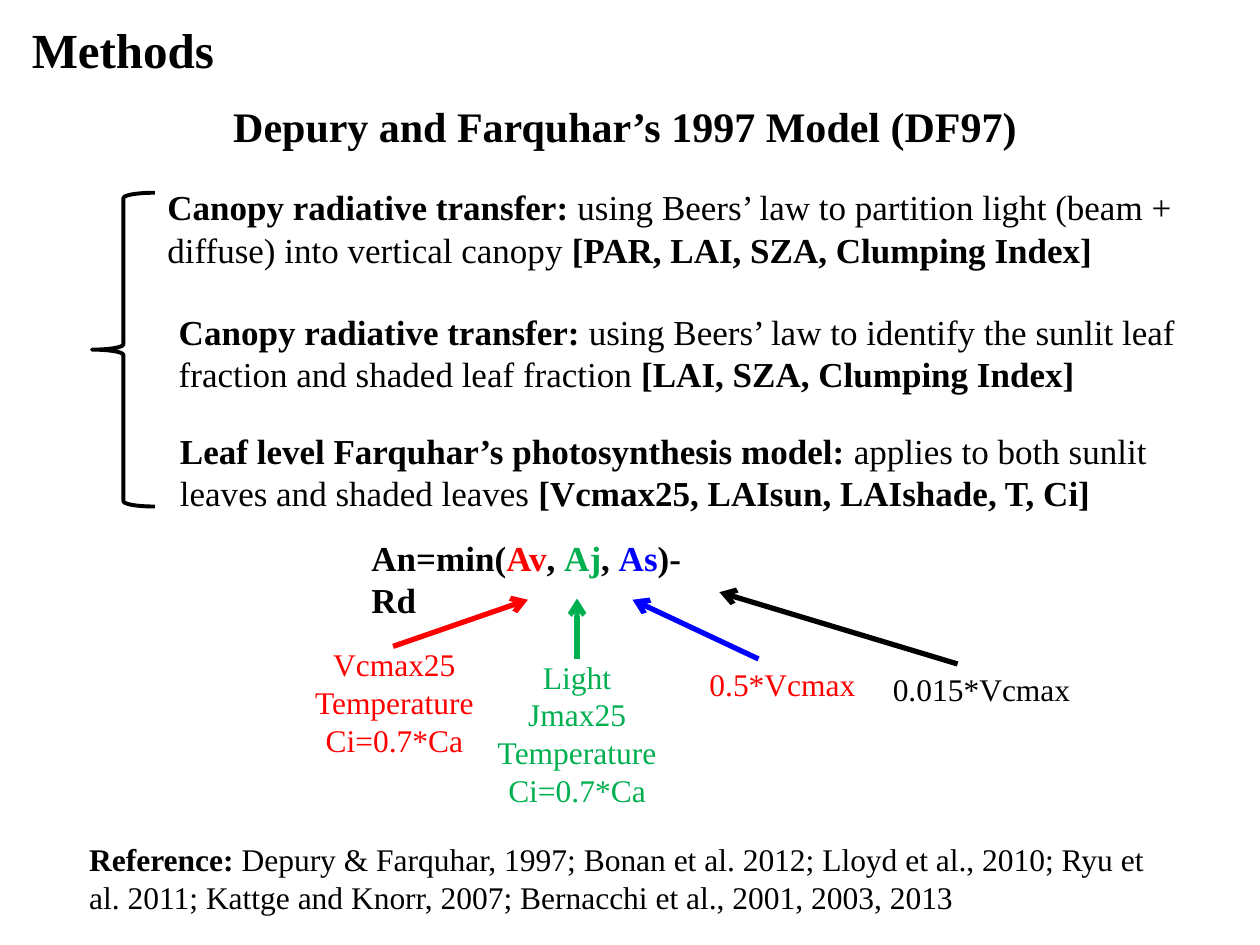
from lxml import etree
from pptx import Presentation
from pptx import util as u
from pptx.dml.color import RGBColor
from pptx.enum import shapes, text
from pptx.oxml import ns

BLACK, RED, GREEN, BLUE = "000000", "FF0000", "00B050", "0000FF"
LEFT, CENTER = text.PP_ALIGN.LEFT, text.PP_ALIGN.CENTER


def color(value):
    """Turn a hex string into a colour."""
    return RGBColor.from_string(value)


def assign(target, values):
    """Set every attribute named in a dict."""
    for name, value in values.items():
        setattr(target, name, value)


class Page:
    """Holds the style and the current slide, on a grid of 100 columns by 75 rows."""

    font = "Times New Roman"
    frame = {
        "word_wrap": True,
        "auto_size": text.MSO_AUTO_SIZE.NONE,
        "vertical_anchor": text.MSO_ANCHOR.MIDDLE,
    }

    def __init__(self, deck):
        """Add a title-only slide to the deck."""
        self.column = deck.slide_width / 100
        self.row = deck.slide_height / 75
        self.slide = deck.slides.add_slide(deck.slide_layouts[5])

    def grid(self, *cells):
        """Convert alternating columns and rows to lengths."""
        return [u.Emu(round(cell * (self.row if index % 2 else self.column)))
                for index, cell in enumerate(cells)]

    def fill_text(self, box, paragraphs, size, align):
        """Fill a box with paragraphs of (words, bold, colour) spans."""
        assign(box.text_frame, self.frame)
        for index, spans in enumerate(paragraphs):
            para = box.text_frame.add_paragraph() if index else box.text_frame.paragraphs[0]
            para.alignment = align
            for words, bold, shade in spans:
                span = para.add_run()
                span.text = words
                assign(span.font, {"name": self.font, "size": u.Pt(size), "bold": bold})
                span.font.color.rgb = color(shade)

    def title(self, words, place):
        """Place and fill the title placeholder."""
        box = self.slide.shapes.title
        assign(box, dict(zip(("left", "top", "width", "height"), self.grid(*place))))
        self.fill_text(box, [[(words, True, BLACK)]], 28, CENTER)

    def text(self, paragraphs, place, size, align=LEFT):
        """Add a text box."""
        box = self.slide.shapes.add_textbox(*self.grid(*place))
        self.fill_text(box, paragraphs, size, align)

    def brace(self, place):
        """Add an outlined left brace."""
        brace = self.slide.shapes.add_shape(shapes.MSO_SHAPE.LEFT_BRACE, *self.grid(*place))
        brace.shadow.inherit = False
        brace.fill.background()
        brace.line.color.rgb = color(BLACK)
        brace.line.width = u.Pt(2.25)

    def arrow(self, ends, shade):
        """Add a straight line with an open arrowhead at its end."""
        arrow = self.slide.shapes.add_connector(shapes.MSO_CONNECTOR.STRAIGHT, *self.grid(*ends))
        arrow.line.color.rgb = color(shade)
        arrow.line.width = u.Pt(3)
        outline = arrow._element.spPr.find(ns.qn("a:ln"))
        etree.SubElement(outline, ns.qn("a:tailEnd"), type="arrow")
        etree.SubElement(arrow._element.spPr, ns.qn("a:effectLst"))


STEPS = [
    ("Canopy radiative transfer: ",
     "using Beers’ law to partition light (beam + diffuse) into vertical canopy ",
     "[PAR, LAI, SZA, Clumping Index]", (12.3, 16.1, 86, 4)),
    ("Canopy radiative transfer: ",
     "using Beers’ law to identify the sunlit leaf fraction and shaded leaf fraction ",
     "[LAI, SZA, Clumping Index]", (13.2, 26, 85.2, 4)),
    ("Leaf level Farquhar’s photosynthesis model: ",
     "applies to both sunlit leaves and shaded leaves ",
     "[Vcmax25, LAIsun, LAIshade, T, Ci]", (13.3, 35.4, 84.2, 4)),
]
EQUATION = [("An=min(", BLACK), ("Av", RED), (", ", BLACK), ("Aj", GREEN),
            (", ", BLACK), ("As", BLUE), (")-Rd", BLACK)]
TERMS = [
    (["Vcmax25", "Temperature", "Ci=0.7*Ca"], RED, (21.9, 53.7), RED, (31.2, 51.3, 41.9, 47.6)),
    (["Light", "Jmax25", "Temperature", "Ci=0.7*Ca"], GREEN, (36.4, 56.2),
     GREEN, (45.8, 52.3, 45.8, 47.5)),
    (["0.5*Vcmax"], RED, (52.7, 52.3), BLUE, (60.2, 52.3, 50.2, 47.6)),
    (["0.015*Vcmax"], BLACK, (68.5, 52.7), BLACK, (76, 52.7, 57.1, 47)),
]
SOURCES = ("Depury & Farquhar, 1997; Bonan et al. 2012; Lloyd et al., 2010; Ryu et al. 2011; "
           "Kattge and Knorr, 2007; Bernacchi et al., 2001, 2003, 2013")


def main():
    """Build the methods slide."""
    deck = Presentation()
    assign(deck, {"slide_width": u.Inches(10), "slide_height": u.Inches(7.5)})
    page = Page(deck)
    page.title("Methods", (-1.7, 0.3, 22.9, 7.2))
    page.text([[("Depury and Farquhar’s 1997 Model (DF97)", True, BLACK)]],
              (14.2, 5, 70.8, 10), 24, CENTER)
    page.brace((7.3, 15.3, 5, 24.9))
    for name, action, inputs, place in STEPS:
        page.text([[(name, True, BLACK), (action, False, BLACK), (inputs, True, BLACK)]], place, 20)
    page.text([[(words, True, shade) for words, shade in EQUATION]], (28.5, 43.9, 30, 4), 20)
    for lines, shade, corner, arrow_shade, ends in TERMS:
        page.arrow(ends, arrow_shade)
        page.text([[(line, False, shade)] for line in lines], (*corner, 18.8, 4), 18, CENTER)
    page.text([[("Reference: ", True, BLACK), (SOURCES, False, BLACK)]], (6.1, 67.7, 88, 4), 18)
    deck.save("out.pptx")


if __name__ == "__main__":
    main()
